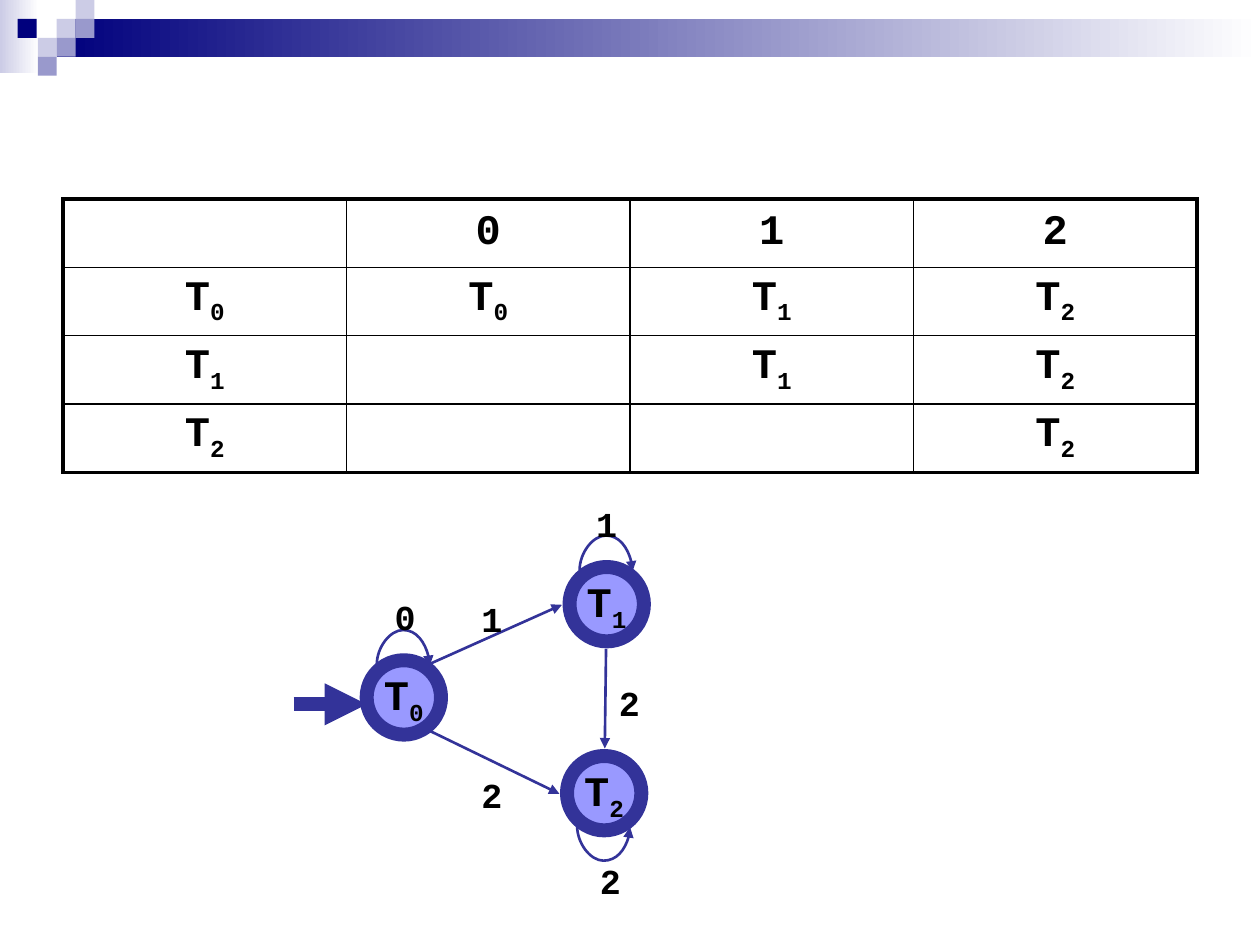
"""Build a slide with a state transition table and its automaton diagram."""
from dataclasses import dataclass

import pptx
import pptx.dml.color
import pptx.enum.shapes
import pptx.enum.text
import pptx.oxml
import pptx.oxml.ns
import pptx.util

Inches = pptx.util.Inches
Pt = pptx.util.Pt
RGBColor = pptx.dml.color.RGBColor
Shape = pptx.enum.shapes.MSO_SHAPE
Connector = pptx.enum.shapes.MSO_CONNECTOR
qn = pptx.oxml.ns.qn

BLACK = RGBColor(0x00, 0x00, 0x00)
WHITE = RGBColor(0xFF, 0xFF, 0xFF)
NAVY = RGBColor(0x00, 0x00, 0x7D)
PALE = RGBColor(0xCC, 0xCC, 0xE6)
LILAC = RGBColor(0x99, 0x99, 0xCC)
STATE_FILL = RGBColor(0x99, 0x99, 0xFF)
STATE_LINE = RGBColor(0x33, 0x33, 0x99)
FONT = "Courier New"
STATE_SIZE = 0.59
TILE = 0.15
LOOP_SPAN = 0.42
LOOP_THICKNESS = 0.01
LOOP_ADJUSTMENT = 2800000


@dataclass
class Band:
    left: float
    top: float
    width: float
    height: float
    color: RGBColor


@dataclass
class Tile:
    left: float
    top: float
    color: RGBColor


@dataclass
class Label:
    text: str
    left: float
    top: float


@dataclass
class Arrow:
    start: tuple[float, float]
    end: tuple[float, float]
    width: float = 1.5


@dataclass
class Loop:
    center_x: float
    center_y: float
    above: bool


BANDS = [Band(0, 0, 0.31, 0.58, PALE), Band(0.45, 0.15, 9.55, 0.3, NAVY)]
TILES = [
    Tile(0.45, 0.15, PALE), Tile(0.6, 0, PALE), Tile(0.6, 0.15, LILAC),
    Tile(0.3, 0.3, PALE), Tile(0.14, 0.15, NAVY), Tile(0.45, 0.3, LILAC),
    Tile(0.3, 0.45, LILAC),
]
TRANSITIONS = [
    ["", "0", "1", "2"],
    ["T0", "T0", "T1", "T2"],
    ["T1", "", "T1", "T2"],
    ["T2", "", "", "T2"],
]
STATES = [Label("T0", 2.91, 5.24), Label("T1", 4.52, 4.5), Label("T2", 4.5, 6)]
ARROWS = [
    Arrow((3.41, 5.27), (4.46, 4.8)),
    Arrow((2.33, 5.59), (2.91, 5.59), 8),
    Arrow((3.41, 5.8), (4.44, 6.3)),
    Arrow((4.81, 5.15), (4.8, 5.94)),
]
LOOPS = [Loop(4.81, 4.53, True), Loop(3.2, 5.28, True), Loop(4.79, 6.56, False)]
INPUTS = [
    Label("0", 3.03, 4.68), Label("1", 4.63, 3.94), Label("2", 3.72, 6.09),
    Label("2", 4.81, 5.36), Label("1", 3.72, 4.69), Label("2", 4.66, 6.77),
]


def write_text(text_frame, text: str, size: float) -> None:
    """Write a centred symbol whose second character is a subscript."""
    paragraph = text_frame.paragraphs[0]
    paragraph.alignment = pptx.enum.text.PP_ALIGN.CENTER
    font = paragraph.font
    font.name, font.size, font.bold = FONT, Pt(size), True
    font.color.rgb = BLACK
    for index, character in enumerate(text):
        run = paragraph.add_run()
        run.text = character
        if index:
            run._r.get_or_add_rPr().set("baseline", "-25000")


def draw_shape(slide, kind, left: float, top: float, width: float, height: float):
    """Add a preset shape with neither shadow nor outline."""
    shape = slide.shapes.add_shape(
        kind, Inches(left), Inches(top), Inches(width), Inches(height))
    shape.shadow.inherit = False
    shape.line.fill.background()
    return shape


def draw_band(slide, band: Band) -> None:
    """Draw a rectangle fading to white on the right."""
    shape = draw_shape(
        slide, Shape.RECTANGLE, band.left, band.top, band.width, band.height)
    shape.fill.gradient()
    shape.fill.gradient_angle = 0
    for stop, color, position in zip(
            shape.fill.gradient_stops, (band.color, WHITE), (0, 1)):
        stop.color.rgb = color
        stop.position = position


def draw_tile(slide, tile: Tile) -> None:
    """Draw one small square of the corner decoration."""
    shape = draw_shape(slide, Shape.RECTANGLE, tile.left, tile.top, TILE, TILE)
    shape.fill.solid()
    shape.fill.fore_color.rgb = tile.color


def set_border(cell, side: str, width: float) -> None:
    """Append one black border to a cell."""
    line = pptx.oxml.parse_xml(
        f'<a:{side} {pptx.oxml.ns.nsdecls("a")} w="{Pt(width)}">'
        f'<a:solidFill><a:srgbClr val="{BLACK}"/></a:solidFill></a:{side}>')
    cell._tc.get_or_add_tcPr().append(line)


def draw_table(slide, rows: list[list[str]]) -> None:
    """Draw the transition table with a heavier outer frame."""
    last = len(rows) - 1
    table = slide.shapes.add_table(
        len(rows), len(rows[0]), Inches(0.5), Inches(1.58), Inches(9), Inches(2.17)).table
    table.first_row = table.horz_banding = False
    for row_index, row in enumerate(rows):
        for column_index, text in enumerate(row):
            cell = table.cell(row_index, column_index)
            cell.vertical_anchor = pptx.enum.text.MSO_ANCHOR.MIDDLE
            write_text(cell.text_frame, text, 24)
            outer = {"lnL": column_index == 0, "lnR": column_index == last,
                     "lnT": row_index == 0, "lnB": row_index == last}
            for side, is_outer in outer.items():
                set_border(cell, side, 2.25 if is_outer else 1)
            cell.fill.background()


def draw_state(slide, state: Label) -> None:
    """Draw a state as a thickly outlined circle."""
    shape = draw_shape(
        slide, Shape.OVAL, state.left, state.top, STATE_SIZE, STATE_SIZE)
    shape.fill.solid()
    shape.fill.fore_color.rgb = STATE_FILL
    shape.line.color.rgb = STATE_LINE
    shape.line.width = Pt(8)
    shape.text_frame.word_wrap = False
    shape.text_frame.vertical_anchor = pptx.enum.text.MSO_ANCHOR.MIDDLE
    write_text(shape.text_frame, state.text, 24)


def draw_arrow(slide, arrow: Arrow, kind=Connector.STRAIGHT):
    """Draw a connector with a triangular head."""
    connector = slide.shapes.add_connector(
        kind, *(Inches(value) for value in (*arrow.start, *arrow.end)))
    connector.line.color.rgb = STATE_LINE
    connector.line.width = Pt(arrow.width)
    head = connector.line._get_or_add_ln().makeelement(qn("a:tailEnd"), {"type": "triangle"})
    connector.line._get_or_add_ln().append(head)
    properties = connector._element.spPr
    properties.append(properties.makeelement(qn("a:effectLst"), {}))
    return connector


def draw_loop(slide, loop: Loop) -> None:
    """Draw a curved self-transition above or below a state."""
    left = loop.center_x - LOOP_THICKNESS / 2
    top = loop.center_y - LOOP_SPAN / 2
    arrow = Arrow((left, top), (left + LOOP_THICKNESS, top + LOOP_SPAN))
    connector = draw_arrow(slide, arrow, Connector.CURVE)
    properties = connector._element.spPr
    frame = properties.find(qn("a:xfrm"))
    frame.set("rot", str((90 if loop.above else 270) * 60000))
    frame.set("flipV" if loop.above else "flipH", "1")
    adjustment = -LOOP_ADJUSTMENT if loop.above else LOOP_ADJUSTMENT
    guides = properties.find(qn("a:prstGeom")).get_or_add_avLst()
    guides.append(guides.makeelement(
        qn("a:gd"), {"name": "adj1", "fmla": f"val {adjustment}"}))


def draw_input(slide, label: Label) -> None:
    """Write the input symbol of a transition."""
    box = slide.shapes.add_textbox(
        Inches(label.left), Inches(label.top), Inches(0.37), Inches(0.43))
    box.text_frame.word_wrap = False
    box.text_frame.auto_size = pptx.enum.text.MSO_AUTO_SIZE.SHAPE_TO_FIT_TEXT
    write_text(box.text_frame, label.text, 20)


def main() -> None:
    """Assemble and save the slide."""
    presentation = pptx.Presentation()
    presentation.slide_width, presentation.slide_height = Inches(10), Inches(7.5)
    slide = presentation.slides.add_slide(presentation.slide_layouts[6])
    for band in BANDS:
        draw_band(slide, band)
    for tile in TILES:
        draw_tile(slide, tile)
    draw_table(slide, TRANSITIONS)
    for items, draw in ((STATES, draw_state), (ARROWS, draw_arrow),
                        (LOOPS, draw_loop), (INPUTS, draw_input)):
        for item in items:
            draw(slide, item)
    presentation.save("out.pptx")


if __name__ == "__main__":
    main()
